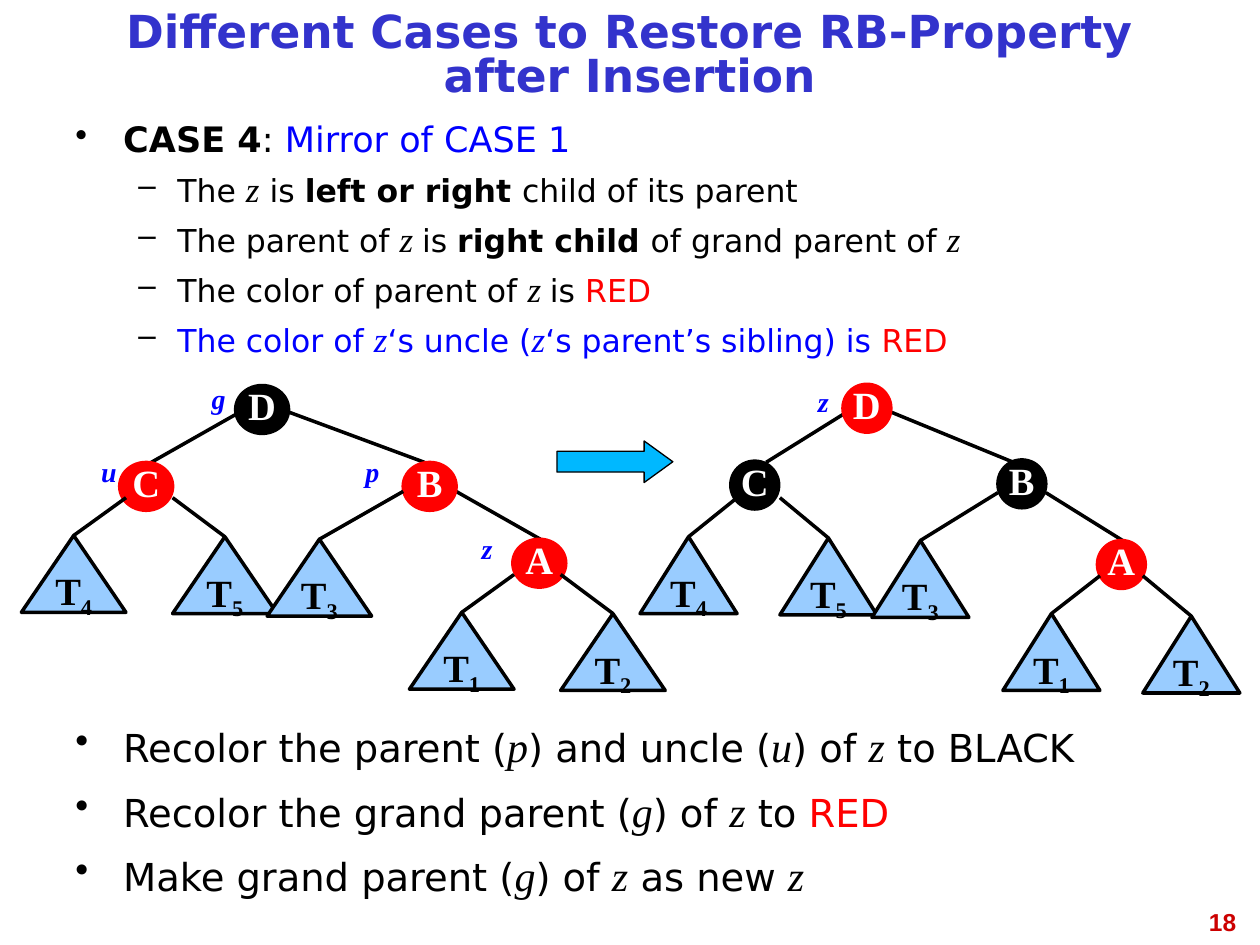
"""Builds a slide on red-black insertion case 4 with trees before and after recolouring."""
from lxml import etree
from pptx import Presentation
from pptx import util as u
from pptx.dml.color import RGBColor
from pptx.enum import shapes, text
from pptx.oxml.ns import qn

COLORS = {"title": "3333CC", "black": "000000", "white": "FFFFFF", "red": "FF0000",
          "blue": "0000FF", "leaf": "99CCFF", "arrow": "00B8FF", "number": "CC0000"}
SANS, SERIF = "DejaVu Sans", "Times New Roman"
ALIGN = text.PP_ALIGN


def rgb(name):
    return RGBColor.from_string(COLORS[name])


def add_run(p, content, size=18, font=SANS, color="black", bold=False, italic=False, baseline=0):
    r = p.add_run()
    r.text = content
    r.font.size, r.font.name = u.Pt(size), font
    r.font.bold, r.font.italic = bold, italic
    r.font.color.rgb = rgb(color)
    if baseline:
        r._r.get_or_add_rPr().set("baseline", str(baseline * 1000))


class SlideBuilder:
    """Holds the slide, the shape collection being filled and the common style."""

    def __init__(self, prs):
        self.s = prs.slides.add_slide(prs.slide_layouts[5])
        self.shapes = self.s.shapes

    def start_group(self):
        self.shapes = self.s.shapes.add_group_shape().shapes

    def end_group(self):
        self.shapes = self.s.shapes

    def title(self, content, box):
        sp = self.s.shapes.title
        sp.left, sp.top, sp.width, sp.height = map(u.Inches, box)
        tf = sp.text_frame
        tf.auto_size = text.MSO_AUTO_SIZE.NONE
        tf.vertical_anchor = text.MSO_ANCHOR.MIDDLE
        p = tf.paragraphs[0]
        p.alignment, p.line_spacing = ALIGN.CENTER, 0.81
        add_run(p, content, size=26, color="title", bold=True)

    def label(self, content, box, align=ALIGN.CENTER, **style):
        tf = self.shapes.add_textbox(*map(u.Inches, box)).text_frame
        tf.word_wrap = True
        p = tf.paragraphs[0]
        p.alignment = align
        add_run(p, content, **style)

    def bullets(self, items, box, spacing=1.0):
        """Adds (level, size, runs) items; a run is plain text or (text, format)."""
        tf = self.shapes.add_textbox(*map(u.Inches, box)).text_frame
        tf.word_wrap = True
        for i, (level, size, runs) in enumerate(items):
            p = tf.add_paragraph() if i else tf.paragraphs[0]
            char, margin, indent, before = [("•", 0.38, -0.38, 8), ("–", 0.81, -0.31, 7)][level]
            pPr = p._p.get_or_add_pPr()
            pPr.set("marL", str(u.Inches(margin)))
            pPr.set("indent", str(u.Inches(indent)))
            clr = etree.SubElement(pPr, qn("a:buClr"))
            etree.SubElement(clr, qn("a:srgbClr"), val=COLORS["black"])
            etree.SubElement(pPr, qn("a:buChar"), char=char)
            p.level, p.alignment, p.line_spacing = level, ALIGN.JUSTIFY, spacing
            if i:
                p.space_before = u.Pt(before)
            for run in runs:
                content, style = (run, {}) if isinstance(run, str) else run
                extra = 2 if style.get("italic") else 0
                add_run(p, content, size=size + extra, **style)

    def line(self, x1, y1, x2, y2):
        c = self.shapes.add_connector(shapes.MSO_CONNECTOR.STRAIGHT,
                                      *map(u.Inches, (x1, y1, x2, y2)))
        c.line.color.rgb, c.line.width = rgb("black"), u.Pt(2)
        etree.SubElement(c._element.spPr, qn("a:effectLst"))

    def shape(self, kind, box, fill, line="black", width=2):
        sp = self.shapes.add_shape(kind, *map(u.Inches, box))
        sp.shadow.inherit = False
        sp.fill.solid()
        sp.fill.fore_color.rgb = rgb(fill)
        sp.line.color.rgb, sp.line.width = rgb(line), u.Pt(width)
        return sp

    def lettered(self, kind, box, fill, line, letter, color, sub=""):
        tf = self.shape(kind, box, fill, line).text_frame
        tf.word_wrap = False
        tf.vertical_anchor = text.MSO_ANCHOR.MIDDLE
        p = tf.paragraphs[0]
        p.alignment, p.line_spacing = ALIGN.CENTER, 0.81
        style = dict(size=22, font=SERIF, color=color, bold=True)
        add_run(p, letter, **style)
        if sub:
            add_run(p, sub, baseline=-25, **style)

    def tree(self, node_width, leaf_width, links, nodes, leaves, labels):
        """Draws one tree; each leaf lists its place and where its edge leaves the node."""
        self.start_group()
        for ends in links:
            self.line(*ends)
        for letter, x, y, fill in nodes:
            self.lettered(shapes.MSO_SHAPE.OVAL, (x, y, node_width, 0.38), fill, fill,
                          letter, "white")
        for number, x, y, from_x, from_y in leaves:
            self.line(from_x, from_y, x + leaf_width / 2, y)
            self.lettered(shapes.MSO_SHAPE.ISOSCELES_TRIANGLE, (x, y, leaf_width, 0.61),
                          "leaf", "black", "T", "black", number)
        for letter, x, y in labels:
            self.label(letter, (x, y, 0.83, 0.37), size=16, font=SERIF, color="blue",
                       bold=True, italic=True)
        self.end_group()


def var(name, color="black"):
    return name, dict(font=SERIF, italic=True, color=color)


def main():
    prs = Presentation()
    prs.slide_width, prs.slide_height = u.Inches(10), u.Inches(7.5)
    b = SlideBuilder(prs)
    bold, red, blue = dict(bold=True), dict(color="red"), dict(color="blue")
    z = var("z")

    b.label("18", (7.58, 7.15, 2.33, 0.35), ALIGN.RIGHT, size=14, font="Arial",
            color="number", bold=True)
    b.title("Different Cases to Restore RB-Property after Insertion", (0.5, 0.08, 9, 0.75))
    b.bullets([
        (0, 20, [("CASE 4", bold), ": ", ("Mirror of CASE 1", blue)]),
        (1, 18, ["The ", z, " is ", ("left or right ", bold), "child of its parent"]),
        (1, 18, ["The parent of ", var("z "), "is ", ("right child ", bold),
                 "of grand parent of ", z]),
        (1, 18, ["The color of parent of ", var("z "), "is ", ("RED", red)]),
        (1, 18, [("The color of ", blue), var("z", "blue"), ("‘s uncle (", blue),
                 var("z", "blue"), ("‘s parent’s sibling) is ", blue), ("RED", red)]),
    ], (0.5, 0.92, 9, 2), spacing=0.9)
    b.bullets([
        (0, 22, ["Recolor the parent (", var("p"), ") and uncle (", var("u"), ") of ", z,
                 " to BLACK"]),
        (0, 22, ["Recolor the grand parent (", var("g"), ") of ", z, " to ", ("RED", red)]),
        (0, 22, ["Make grand parent (", var("g"), ") of ", z, " as new ", z]),
    ], (0.5, 5.67, 9, 1.58))

    b.tree(0.42, 0.83,
           links=[(2.29, 3.27, 3.37, 3.67), (1.87, 3.29, 1.2, 3.67), (3.62, 3.9, 4.29, 4.28)],
           nodes=[("D", 1.87, 3.06, "black"), ("C", 0.95, 3.67, "red"),
                  ("B", 3.2, 3.67, "red"), ("A", 4.07, 4.28, "red")],
           leaves=[("4", 0.17, 4.25, 1, 3.95), ("5", 1.37, 4.26, 1.37, 3.95),
                   ("3", 2.12, 4.28, 3.2, 3.9), ("1", 3.25, 4.86, 4.08, 4.56),
                   ("2", 4.45, 4.87, 4.45, 4.56)],
           labels=[("u", 0.45, 3.56), ("g", 1.32, 2.98), ("p", 2.54, 3.56), ("z", 3.45, 4.17)])
    b.tree(0.38, 0.77,
           links=[(7.07, 3.27, 8.07, 3.68), (6.69, 3.29, 6.08, 3.67), (8.3, 3.91, 8.91, 4.29)],
           nodes=[("D", 6.69, 3.05, "red"), ("C", 5.8, 3.66, "black"),
                  ("B", 7.92, 3.65, "black"), ("A", 8.71, 4.29, "red")],
           leaves=[("4", 5.08, 4.26, 5.85, 3.95), ("5", 6.19, 4.27, 6.19, 3.95),
                   ("3", 6.92, 4.29, 7.92, 3.91), ("1", 7.96, 4.87, 8.73, 4.57),
                   ("2", 9.07, 4.89, 9.07, 4.57)],
           labels=[("z", 6.12, 3)])
    arrow = b.shape(shapes.MSO_SHAPE.RIGHT_ARROW, (4.42, 3.5, 0.92, 0.33), "arrow", width=0.75)
    arrow.adjustments[1] = 0.69
    prs.save("out.pptx")


if __name__ == "__main__":
    main()
